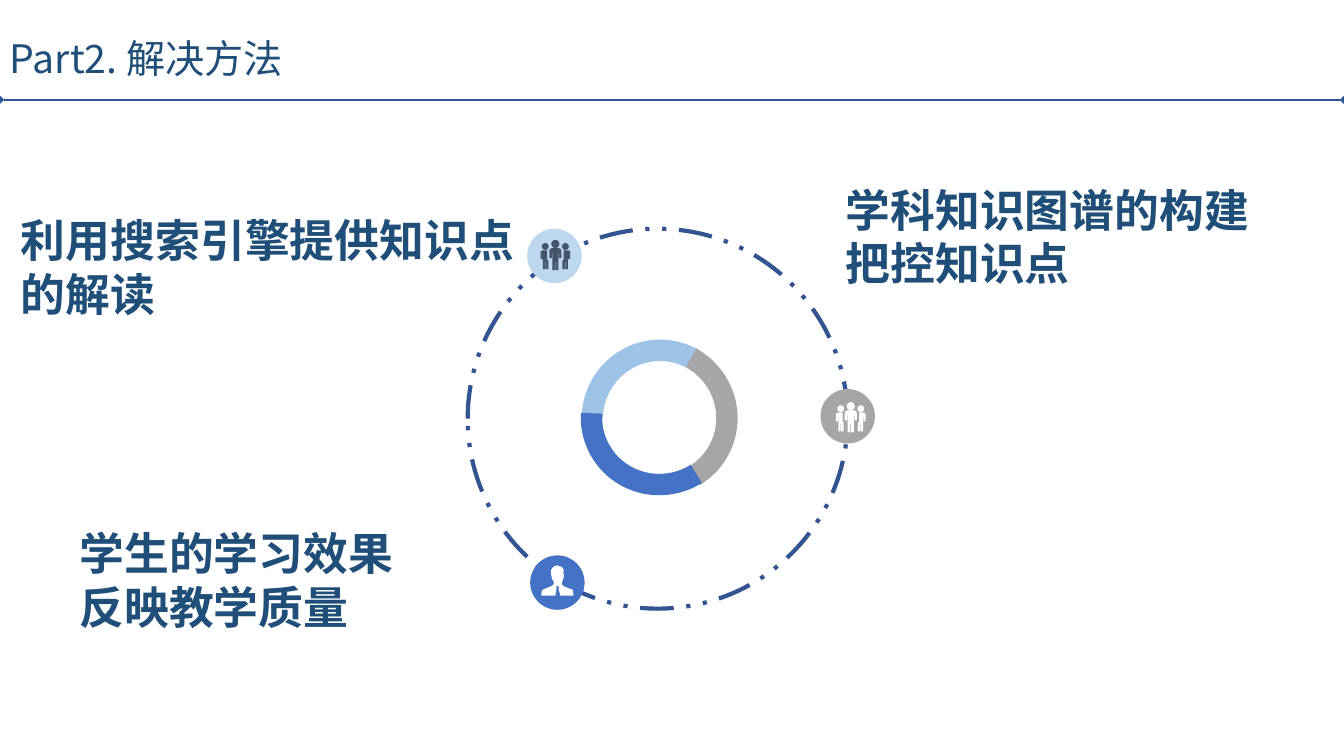
from dataclasses import dataclass

from lxml.etree import SubElement
from pptx import Presentation
from pptx.dml.color import RGBColor
from pptx.enum.dml import MSO_LINE
from pptx.enum.shapes import MSO_CONNECTOR, MSO_SHAPE
from pptx.enum.text import MSO_AUTO_SIZE
from pptx.oxml.ns import qn
from pptx.util import Pt

NAVY = RGBColor(0x1F, 0x4E, 0x79)
RULE = RGBColor(0x2F, 0x55, 0x97)
ORBIT = RGBColor(0x32, 0x54, 0x91)
SKY = RGBColor(0x9D, 0xC3, 0xE6)
PALE = RGBColor(0xBD, 0xD7, 0xEE)
GREY = RGBColor(0xA6, 0xA6, 0xA6)
BLUE = RGBColor(0x44, 0x72, 0xC4)
SLATE = RGBColor(0x44, 0x54, 0x6A)
WHITE = RGBColor(0xFF, 0xFF, 0xFF)
CJK_FONT = "Noto Sans CJK SC"
ICON_UNIT = Pt(0.72)
STEPS = 100  # whole-number path steps per icon unit
ARC_W, ARC_H, NODE = 112.3, 113.8, 38.9

Outline = list[tuple[float, float]]


@dataclass
class Label:
    lines: list[str]
    left: float
    top: float
    width: float
    height: float
    size: float = 32
    font: str = "Calibri"
    bold: bool = True


@dataclass
class Arc:
    left: float
    top: float
    rotation: float
    start: float
    end: float
    color: RGBColor


@dataclass
class Node:
    left: float
    top: float
    color: RGBColor


@dataclass
class Icon:
    outlines: list[Outline]
    left: float
    top: float
    color: RGBColor


def mirror(outline: Outline, axis: float = 15) -> Outline:
    return [(2 * axis - x, y) for x, y in reversed(outline)]


def head(cx: float, cy: float, r: float) -> Outline:
    k = r * 0.71
    c = r * 0.92
    s = r * 0.38
    quarter = [(r, 0), (c, s), (k, k), (s, c)]
    ring = quarter + [(-y, x) for x, y in quarter]
    ring += [(-x, -y) for x, y in ring]
    return [(cx + x, cy + y) for x, y in ring]


def paint(sp, color: RGBColor) -> None:
    sp.shadow.inherit = False
    sp.fill.solid()
    sp.fill.fore_color.rgb = color
    sp.line.fill.background()


def add_label(shapes, label: Label) -> None:
    sp = shapes.add_textbox(Pt(label.left), Pt(label.top), Pt(label.width), Pt(label.height))
    tf = sp.text_frame
    tf.word_wrap = True
    tf.auto_size = MSO_AUTO_SIZE.SHAPE_TO_FIT_TEXT
    for i, line in enumerate(label.lines):
        p = tf.paragraphs[0] if i == 0 else tf.add_paragraph()
        p.text = line
        p.font.size = Pt(label.size)
        p.font.bold = label.bold
        p.font.color.rgb = NAVY
        p.font.name = label.font
        SubElement(p._p.pPr.find(qn("a:defRPr")), qn("a:ea"), typeface=CJK_FONT)


def add_rule(shapes, y: float, width: float) -> None:
    rule = shapes.add_connector(MSO_CONNECTOR.STRAIGHT, Pt(0), Pt(y), Pt(width), Pt(y))
    rule.line.color.rgb = RULE
    rule.line.width = Pt(1.5)
    ln = rule._element.spPr.find(qn("a:ln"))
    for end in ("a:headEnd", "a:tailEnd"):
        SubElement(ln, qn(end), type="diamond")
    SubElement(rule._element.spPr, qn("a:effectLst"))


def add_arc(shapes, arc: Arc) -> None:
    sp = shapes.add_shape(MSO_SHAPE.BLOCK_ARC, Pt(arc.left), Pt(arc.top), Pt(ARC_W), Pt(ARC_H))
    for i, value in enumerate((arc.start, arc.end, 0.136)):
        sp.adjustments[i] = value
    sp.rotation = arc.rotation
    paint(sp, arc.color)


def add_orbit(shapes, left: float, top: float, size: float) -> None:
    sp = shapes.add_shape(MSO_SHAPE.OVAL, Pt(left), Pt(top), Pt(size), Pt(size))
    sp.shadow.inherit = False
    sp.fill.background()
    sp.line.color.rgb = ORBIT
    sp.line.width = Pt(3)
    sp.line.dash_style = MSO_LINE.DASH_DOT_DOT


def add_node(shapes, node: Node) -> None:
    sp = shapes.add_shape(MSO_SHAPE.OVAL, Pt(node.left), Pt(node.top), Pt(NODE), Pt(NODE))
    paint(sp, node.color)


def add_icon(shapes, icon: Icon) -> None:
    outlines = [[(x * STEPS, y * STEPS) for x, y in outline] for outline in icon.outlines]
    builder = shapes.build_freeform(*outlines[0][0], scale=ICON_UNIT / STEPS)
    for i, outline in enumerate(outlines):
        if i:
            builder.move_to(*outline[0])
        builder.add_line_segments(outline[1:], close=True)
    paint(builder.convert_to_shape(Pt(icon.left), Pt(icon.top)), icon.color)


# Icon outlines, in icon units
HALF_BODY: Outline = [
    (15.3, 21.5), (15.3, 30), (18, 30), (18, 13), (18.5, 13), (18.5, 18),
    (21, 18), (21, 10.5), (20.3, 9), (18.5, 8.2),
]
SIDE_BODY: Outline = [
    (22, 20), (22, 29), (24.7, 29), (24.7, 21.5), (25.2, 21.5), (25.2, 29),
    (27.3, 29), (27.3, 14.5), (27.7, 14.5), (27.7, 19), (29.7, 19), (29.7, 12.5),
    (29.2, 11), (27.7, 10.3), (23, 10.3), (23.2, 11), (23.2, 20),
]
TEAM = [
    head(15, 4, 4), HALF_BODY + mirror(HALF_BODY), SIDE_BODY, mirror(SIDE_BODY),
    head(5, 6.5, 3.4), head(25, 6.5, 3.4),
]
PERSON: list[Outline] = [[
    (32, 30), (31.5, 25), (30.5, 23.7), (28, 23), (23, 21), (21, 19.5), (20.5, 18),
    (21, 15.5), (22, 13), (22.6, 10), (22, 8), (22.2, 4), (21, 2), (19, 1), (16, 0),
    (13, 0.8), (10.5, 3), (9.6, 6), (10, 10), (11, 14), (12, 15), (12.5, 17),
    (12.4, 18.5), (11, 20), (9, 21), (4, 23), (1.3, 24.3), (0.5, 26), (0, 30),
    (14, 30), (15.2, 23), (14.7, 21.3), (16.2, 20), (17.7, 21.3), (17.2, 23), (19, 30),
]]

TITLE = Label(["Part2. 解决方法"], 0, 20.9, 229.7, 41, 28, CJK_FONT, False)
LABELS = [
    Label(["利用搜索引擎提供知识点的解读"], 7.9, 148.3, 368.6, 85),
    Label(["学科知识图谱的构建", "把控知识点"], 597, 126.7, 423.4, 85),
    Label(["学生的学习效果", "反映教学质量"], 49.7, 372.2, 372.2, 85),
]
ARCS = [
    Arc(415.4, 242.6, 0, 108, 179.48, SKY),
    Arc(414, 241.2, 118.9, 108, 179.48, GREY),
    Arc(415.4, 240.5, 240.4, 106.48, 181.33, BLUE),
]
NODES = [Node(376.6, 163.4, PALE), Node(586.1, 277.9, GREY), Node(378.7, 396.7, BLUE)]
ICONS = [
    Icon(TEAM, 385.9, 171.4, SLATE),
    Icon(PERSON, 386.6, 403.9, WHITE),
    Icon(TEAM, 596.9, 287.3, WHITE),
]


def main() -> None:
    prs = Presentation()
    prs.slide_width, prs.slide_height = Pt(960), Pt(540)
    shapes = prs.slides.add_slide(prs.slide_layouts[6]).shapes

    # Header
    add_rule(shapes, 71.3, 960)
    add_label(shapes, TITLE)

    # Ring, orbit and nodes
    dial = shapes.add_group_shape().shapes
    for arc in ARCS:
        add_arc(dial, arc)
    add_orbit(dial, 334.1, 163.4, 271.4)
    for node in NODES:
        add_node(dial, node)

    # Icons and labels
    for icon in ICONS:
        add_icon(shapes, icon)
    for label in LABELS:
        add_label(shapes, label)

    prs.save("out.pptx")


if __name__ == "__main__":
    main()
